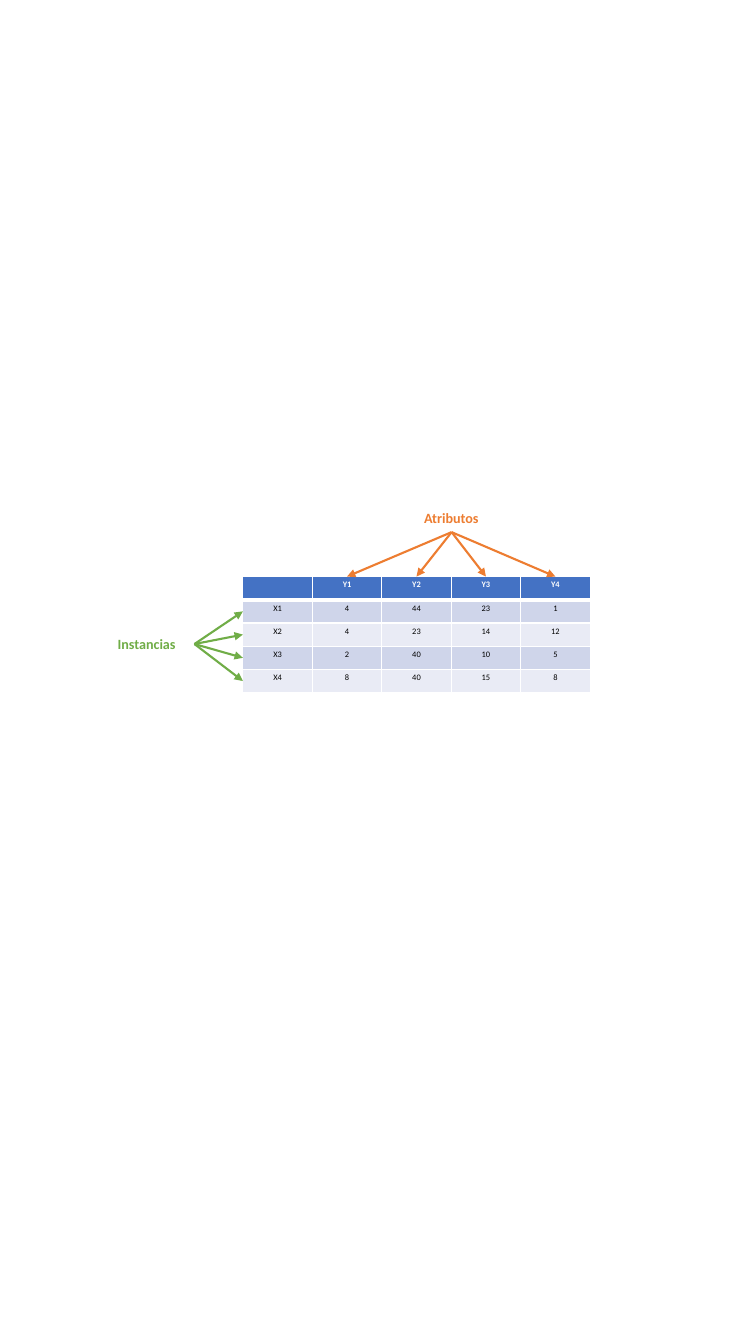
from lxml import etree
from pptx import Presentation
from pptx.dml.color import RGBColor
from pptx.enum.shapes import MSO_CONNECTOR
from pptx.enum.text import MSO_AUTO_SIZE, PP_ALIGN
from pptx.oxml.ns import qn
from pptx.util import Cm, Pt

LINE = MSO_CONNECTOR.STRAIGHT
CENTER = PP_ALIGN.CENTER
GROW = MSO_AUTO_SIZE.SHAPE_TO_FIT_TEXT

FONT = "Calibri"
WHITE, BLACK = "FFFFFF", "000000"
BLUE, ORANGE, GREEN = "4472C4", "ED7D31", "70AD47"
BANDS = ("CFD5EA", "E9EBF5")

# Table grid, in centimetres
LEFT, TOP = 6.12, 14.53
COL, ROW = 1.75, 0.585
DATA = [
    ("", "Y1", "Y2", "Y3", "Y4"),
    ("X1", "4", "44", "23", "1"),
    ("X2", "4", "23", "14", "12"),
    ("X3", "2", "40", "10", "5"),
    ("X4", "8", "40", "15", "8"),
]


def color(code):
    return RGBColor.from_string(code)


def write(frame, text, size, code, bold):
    para = frame.paragraphs[0]
    para.alignment = CENTER
    if not text:
        # An empty cell keeps the small size, so its row does not grow
        etree.SubElement(para._p, qn("a:endParaRPr"), sz=str(size * 100))
        return
    run = para.add_run()
    run.text = text
    font = run.font
    font.name, font.size, font.bold = FONT, Pt(size), bold
    font.color.rgb = color(code)


def edge(cell, widths):
    props = cell._tc.get_or_add_tcPr()
    for i, (side, width) in enumerate(zip("LRTB", widths)):
        line = etree.Element(qn("a:ln" + side), w=str(Pt(width)))
        fill = etree.SubElement(line, qn("a:solidFill"))
        etree.SubElement(fill, qn("a:srgbClr"), val=WHITE)
        props.insert(i, line)


def grid(slide):
    rows, cols = len(DATA), len(DATA[0])
    frame = slide.shapes.add_table(rows, cols, Cm(LEFT), Cm(TOP),
                                   Cm(COL * cols), Cm(ROW * rows))
    table = frame.table
    for col in table.columns:
        col.width = Cm(COL)
    for r, row in enumerate(DATA):
        table.rows[r].height = Cm(ROW)
        head = r == 0
        for c, text in enumerate(row):
            cell = table.cell(r, c)
            cell.margin_left = cell.margin_right = Cm(0.15)
            cell.margin_top = cell.margin_bottom = Cm(0.08)
            cell.fill.solid()
            cell.fill.fore_color.rgb = color(BLUE if head else BANDS[(r - 1) % 2])
            edge(cell, (1, 1, 3 if r == 1 else 1, 3 if head else 1))
            write(cell.text_frame, text, 6, WHITE if head else BLACK, head)


def arrow(slide, start, end, code):
    link = slide.shapes.add_connector(LINE, *map(Cm, start + end))
    link.line.width = Pt(1.5)
    link.line.color.rgb = color(code)
    etree.SubElement(link.line._get_or_add_ln(), qn("a:tailEnd"), type="triangle")
    etree.SubElement(link._element.spPr, qn("a:effectLst"))


def label(slide, text, left, top, width, code):
    box = slide.shapes.add_textbox(Cm(left), Cm(top), Cm(width), Cm(0.69))
    box.text_frame.word_wrap = True
    box.text_frame.auto_size = GROW
    write(box.text_frame, text, 10.1, code, True)


def main():
    deck = Presentation()
    deck.slide_width, deck.slide_height = Cm(19.05), Cm(33.87)
    slide = deck.slides.add_slide(deck.slide_layouts[6])

    grid(slide)

    # Attributes: one arrow to the middle of each value column
    for i in range(1, len(DATA[0])):
        arrow(slide, (11.38, 13.41), (LEFT + COL * (i + 0.5), TOP), ORANGE)
    label(slide, "Atributos", 9.1, 12.72, 4.55, ORANGE)

    # Instances: one arrow to the middle of each value row
    for i in range(1, len(DATA)):
        arrow(slide, (4.9, 16.23), (LEFT, TOP + ROW * (i + 0.5)), GREEN)
    label(slide, "Instancias", 2.49, 15.88, 2.41, GREEN)

    deck.save("out.pptx")


main()
